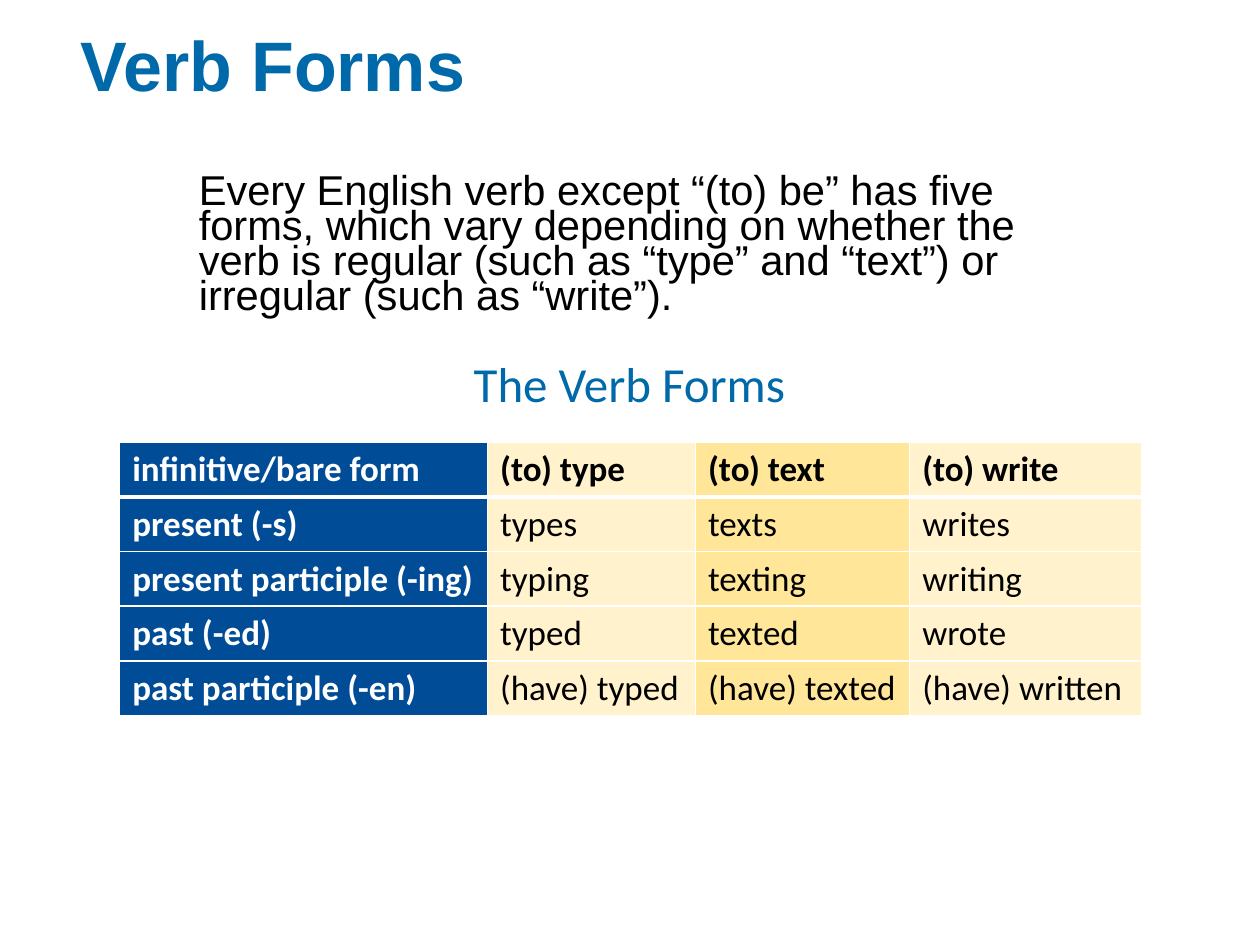
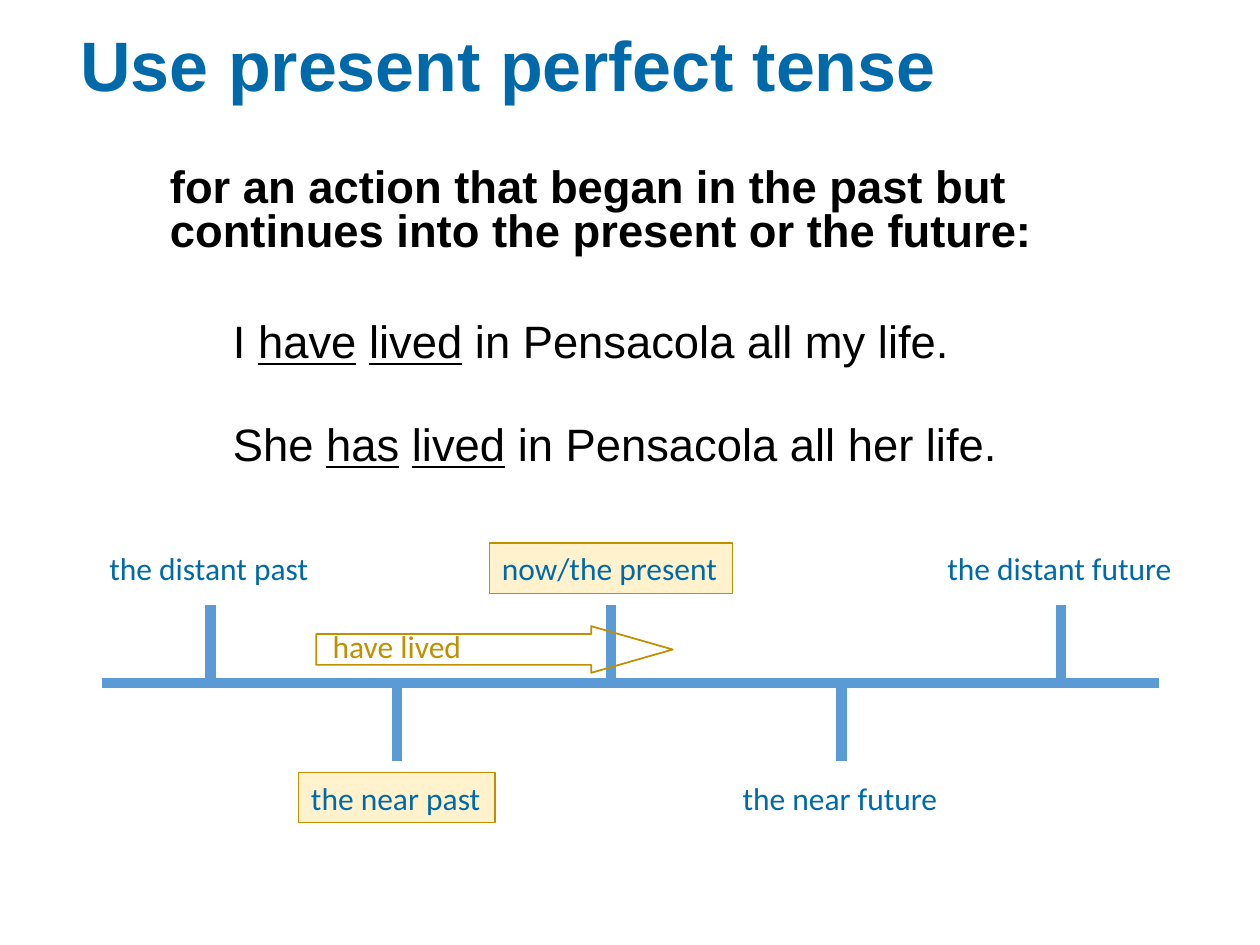
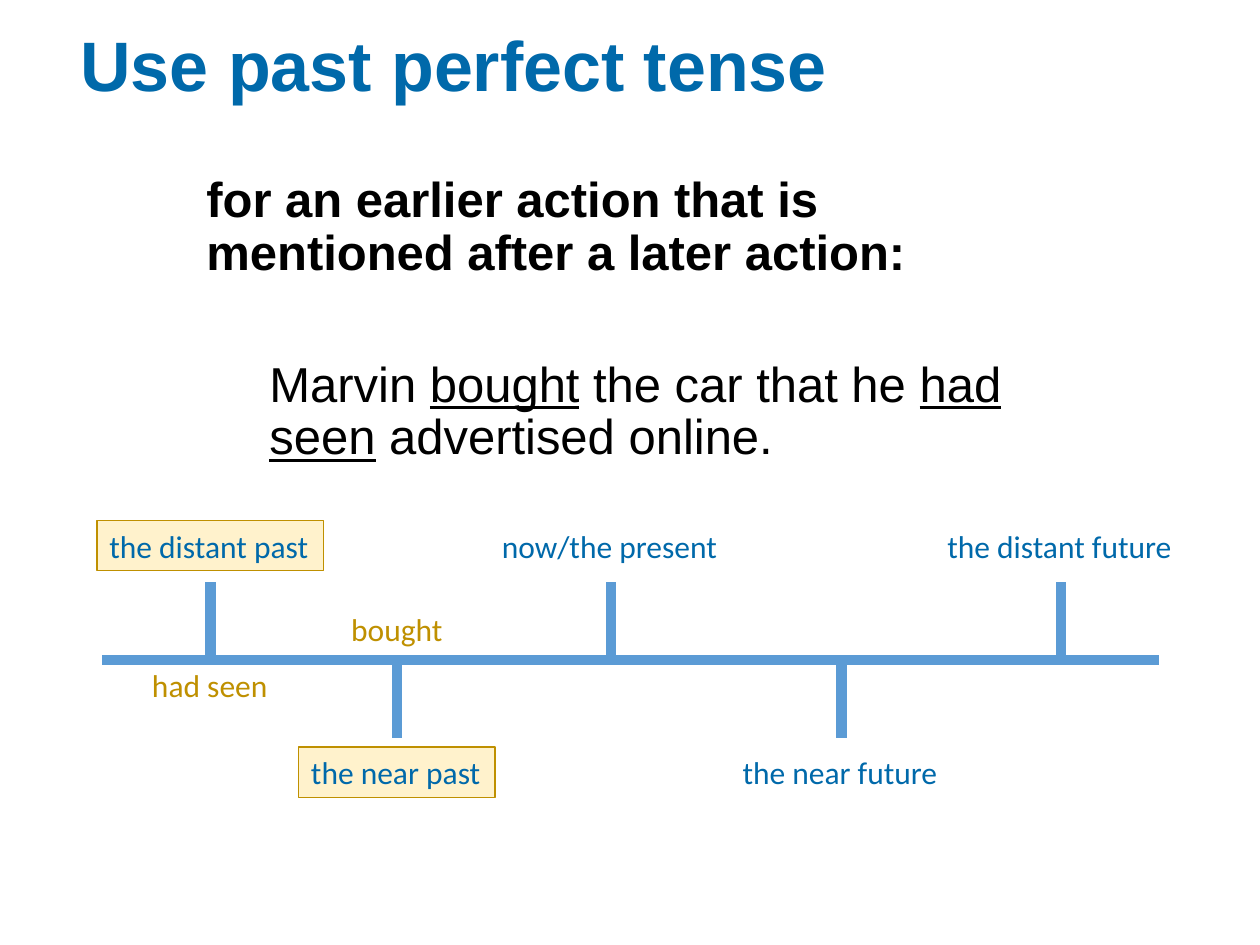
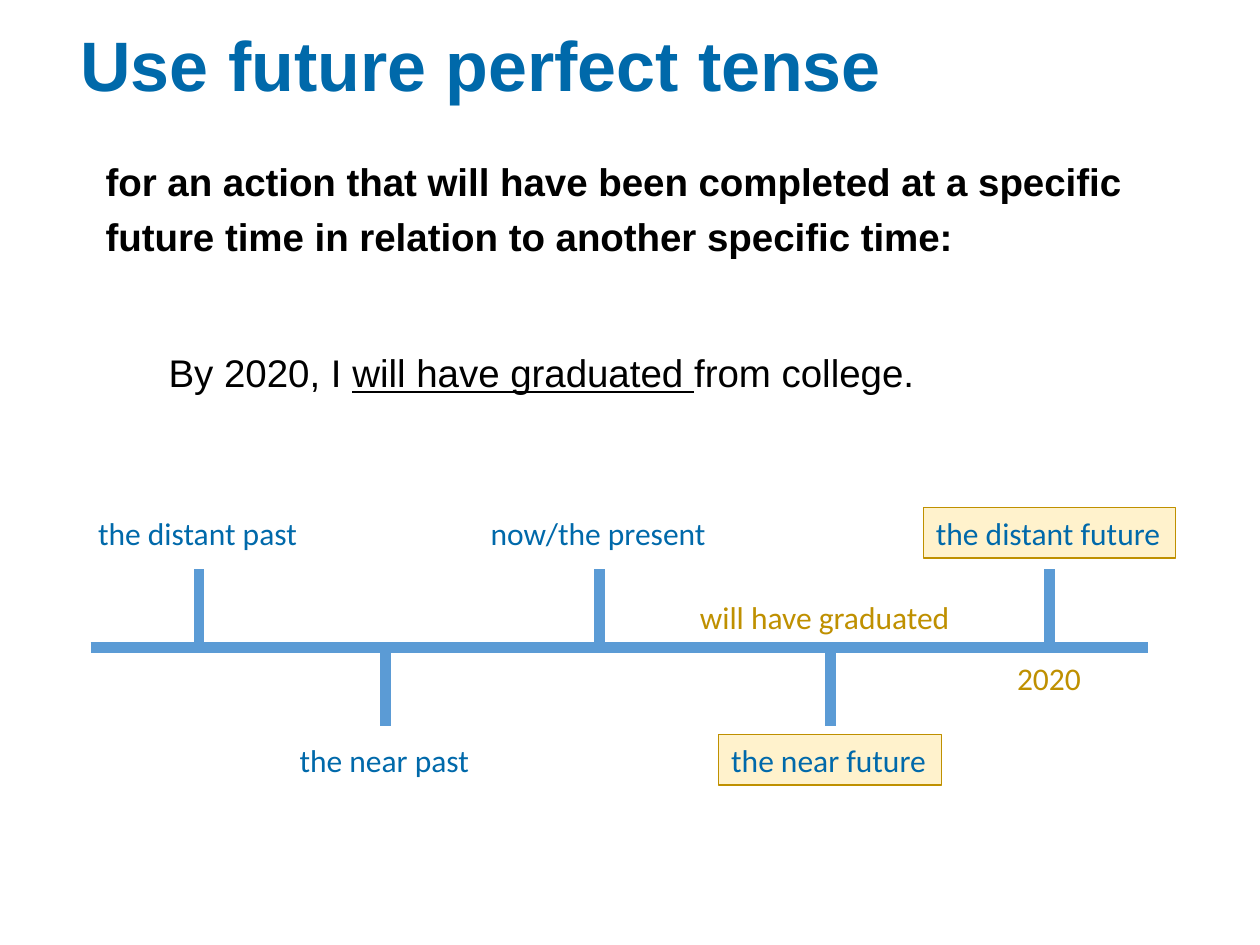
from lxml import etree
from pptx import Presentation
from pptx.dml.color import RGBColor
from pptx.enum.shapes import MSO_CONNECTOR, MSO_SHAPE
from pptx.enum.text import MSO_ANCHOR, PP_ALIGN
from pptx.oxml.ns import qn
from pptx.util import Inches, Pt

LEFT, CENTER = PP_ALIGN.LEFT, PP_ALIGN.CENTER
TOP, MIDDLE = MSO_ANCHOR.TOP, MSO_ANCHOR.MIDDLE
RECTANGLE, RIGHT_ARROW = MSO_SHAPE.RECTANGLE, MSO_SHAPE.RIGHT_ARROW
STRAIGHT = MSO_CONNECTOR.STRAIGHT

COLORS = {
    "title": "0069AA", "text": "000000", "white": "FFFFFF", "header": "004C97",
    "cream": "FFF2CC", "yellow": "FFE699", "gold": "BF9000", "axis": "5B9BD5",
}


def rgb(name):
    return RGBColor.from_string(COLORS[name])


def write(frame, text, size=18, font="Calibri", color="title", bold=False, align=LEFT,
          anchor=TOP, wrap=True, spacing=None, before=0, indent=0, new=False):
    """Write one paragraph; words between underscores are underlined."""
    frame.word_wrap = wrap
    frame.vertical_anchor = anchor
    paragraph = frame.add_paragraph() if new else frame.paragraphs[0]
    paragraph.alignment = align
    if spacing:
        paragraph.line_spacing = spacing
    if before:
        paragraph.space_before = Pt(before)
    if indent:
        paragraph._p.get_or_add_pPr().set("marL", str(Inches(indent)))
    for i, part in enumerate(text.split("_")):
        if part:
            run = paragraph.add_run()
            run.text = part
            run.font.size, run.font.name = Pt(size), font
            run.font.bold, run.font.underline = bold, i % 2 == 1
            run.font.color.rgb = rgb(color)


prs = Presentation()
prs.slide_width, prs.slide_height = Inches(10), Inches(7.5)

# Titles and body text: box, size, line spacing, then (text, space before, level)
pages = [
    ("Verb Forms", (1.48, 1.36, 7.04, 1.3), 23.8, 0.7, [
        ("Every English verb except “(to) be” has five forms, which vary depending on "
         "whether the verb is regular (such as “type” and “text”) or irregular "
         "(such as “write”).", 0, 0)]),
    ("Use present perfect tense", (1.25, 1.29, 7.51, 2.78), 25.9, 0.8, [
        ("for an action that began in the past but continues into the present or "
         "the future:", 0, 0),
        ("I _have_ _lived_ in Pensacola all my life.", 39, 1),
        ("She _has_ _lived_ in Pensacola all her life.", 34, 1)]),
    ("Use past perfect tense", (1.54, 1.34, 6.92, 2.53), 28, 0.9, [
        ("for an earlier action that is mentioned after a later action:", 0, 0),
        ("Marvin _bought_ the car that he _had_ _seen_ advertised online.", 45, 1)]),
    ("Use future perfect tense", (0.74, 1.13, 8.54, 2.63), 22, 1.2, [
        ("for an action that will have been completed at a specific future time in "
         "relation to another specific time:", 0, 0),
        ("By 2020, I _will have graduated _from college.", 46, 1)]),
]
slides = []
for title, box, size, spacing, paragraphs in pages:
    slide = prs.slides.add_slide(prs.slide_layouts[6])
    slides.append(slide)
    heading = slide.shapes.add_textbox(Inches(0.54), Inches(0.29), Inches(8.93), Inches(0.51))
    write(heading.text_frame, title, size=40, font="Arial", bold=True, anchor=MIDDLE,
          spacing=0.9)
    body = slide.shapes.add_textbox(*[Inches(v) for v in box])
    for i, (text, before, level) in enumerate(paragraphs):
        write(body.text_frame, text, size=size, font="Arial", color="text",
              bold=len(paragraphs) > 1 and level == 0, spacing=spacing,
              before=before, indent=0.5 * level, new=i > 0)

# Verb forms table
forms_slide = slides[0]
caption = forms_slide.shapes.add_textbox(Inches(3.1), Inches(2.76), Inches(3.79), Inches(0.57))
write(caption.text_frame, "The Verb Forms", size=28, align=CENTER)

verb_forms = [
    ("infinitive/bare form", "(to) type", "(to) text", "(to) write"),
    ("present (-s)", "types", "texts", "writes"),
    ("present participle (-ing)", "typing", "texting", "writing"),
    ("past (-ed)", "typed", "texted", "wrote"),
    ("past participle (-en)", "(have) typed", "(have) texted", "(have) written"),
]
column_widths = [2.92, 1.65, 1.7, 1.84]
column_fills = ["header", "cream", "yellow", "cream"]
forms_table = forms_slide.shapes.add_table(
    len(verb_forms), len(column_widths), Inches(0.95), Inches(3.51),
    Inches(sum(column_widths)), Inches(2.17)).table
for column, width in zip(forms_table.columns, column_widths):
    column.width = Inches(width)
for r, row in enumerate(verb_forms):
    forms_table.rows[r].height = Inches(0.43)
    for c, text in enumerate(row):
        cell = forms_table.cell(r, c)
        write(cell.text_frame, text, size=20, color="text" if c else "white",
              bold=r == 0 or c == 0)
        properties = cell._tc.get_or_add_tcPr()
        for edge in ("lnL", "lnR", "lnT", "lnB"):
            thick = (r, edge) in ((0, "lnB"), (1, "lnT"))
            border = etree.SubElement(properties, qn("a:" + edge), w=str(Pt(3 if thick else 1)))
            border_fill = etree.SubElement(border, qn("a:solidFill"))
            etree.SubElement(border_fill, qn("a:srgbClr"), val=COLORS["white"])
        cell.fill.solid()
        cell.fill.fore_color.rgb = rgb(column_fills[c])

# Timelines: label, tick position, label width, side of the axis
moments = [
    ("the distant past", 1.67, 1.8, "above"),
    ("the near past", 3.15, 1.56, "below"),
    ("now/the present", 4.85, 1.93, "above"),
    ("the near future", 6.68, 1.77, "below"),
    ("the distant future", 8.42, 2, "above"),
]
TICK, LABEL_HEIGHT = 0.62, 0.4
# Slide, shift, axis height, gap to lower labels, marked moments, notes (text, left, top, width)
timelines = [
    (slides[1], 0, 5.42, 0.71, ("now/the present", "the near past"),
     [("have lived", 2.52, 4.93, 1.26)]),
    (slides[2], 0, 5.24, 0.69, ("the distant past", "the near past"),
     [("bought", 2.68, 4.79, 0.94), ("had seen", 1.1, 5.24, 1.13)]),
    (slides[3], -0.09, 5.14, 0.69, ("the near future", "the distant future"),
     [("will have graduated", 5.44, 4.7, 2.21), ("2020", 7.97, 5.18, 0.71)]),
]
for slide, shift, axis_y, lower_gap, marked, notes in timelines:
    # Ticks and axis
    lines = [(0.81, axis_y, 9.2, axis_y)]
    for _, tick_x, _, side in moments:
        tick_top = axis_y - TICK if side == "above" else axis_y
        lines.append((tick_x, tick_top, tick_x, tick_top + TICK))
    for x1, y1, x2, y2 in lines:
        line = slide.shapes.add_connector(STRAIGHT, Inches(x1 + shift), Inches(y1),
                                          Inches(x2 + shift), Inches(y2))
        line.line.color.rgb = rgb("axis")
        line.line.width = Pt(6)
        etree.SubElement(line._element.spPr, qn("a:effectLst"))

    # Moment labels, centred on their ticks
    for text, tick_x, width, side in moments:
        place = (Inches(tick_x + shift - width / 2),
                 Inches(axis_y - 1.11 if side == "above" else axis_y + lower_gap),
                 Inches(width), Inches(LABEL_HEIGHT))
        if text in marked:
            label = slide.shapes.add_shape(RECTANGLE, *place)
            label.shadow.inherit = False
            label.fill.solid()
            label.fill.fore_color.rgb = rgb("cream")
            label.line.color.rgb = rgb("gold")
            label.line.width = Pt(0.75)
        else:
            label = slide.shapes.add_textbox(*place)
        write(label.text_frame, text, wrap=False)

    # Verbs placed on the timeline
    for text, left, top, width in notes:
        note = slide.shapes.add_textbox(Inches(left), Inches(top), Inches(width),
                                        Inches(LABEL_HEIGHT))
        write(note.text_frame, text, color="gold", align=CENTER, wrap=False)

# Arrow from the near past past the present
span_arrow = slides[1].shapes.add_shape(RIGHT_ARROW, Inches(2.51), Inches(4.97),
                                        Inches(2.83), Inches(0.37))
span_arrow.shadow.inherit = False
span_arrow.adjustments[0], span_arrow.adjustments[1] = 0.66, 1.75
span_arrow.fill.background()
span_arrow.line.color.rgb = rgb("gold")
span_arrow.line.width = Pt(1)

prs.save("out.pptx")
